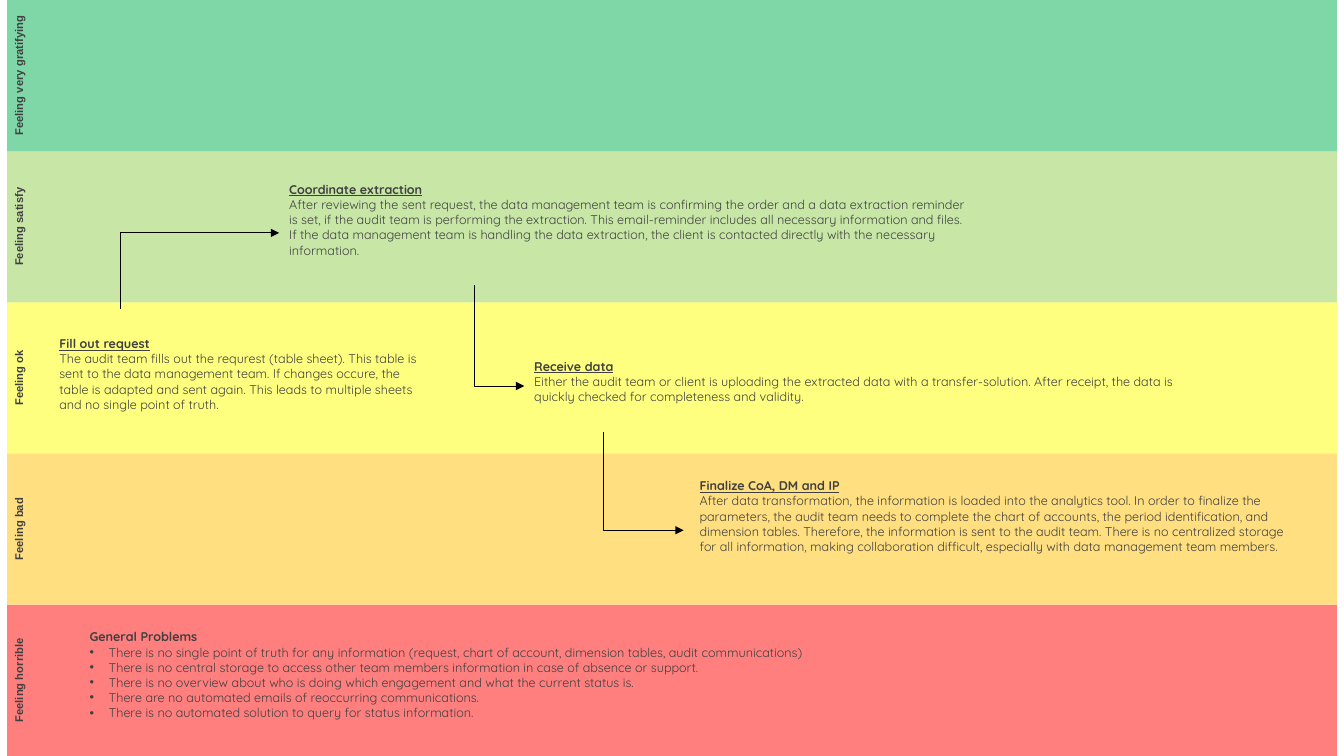
from lxml import etree
from pptx import Presentation
from pptx.dml.color import RGBColor
from pptx.enum.shapes import MSO_CONNECTOR, MSO_SHAPE
from pptx.enum.text import PP_ALIGN
from pptx.oxml.ns import qn
from pptx.util import Inches, Pt

RECT = MSO_SHAPE.RECTANGLE
ELBOW = MSO_CONNECTOR.ELBOW
LEFT, CENTER = PP_ALIGN.LEFT, PP_ALIGN.CENTER

# Content: mood bands from top to bottom
BANDS = [
    ("Feeling very gratifying", "00B050"),
    ("Feeling satisfy", "92D050"),
    ("Feeling ok", "FFFF00"),
    ("Feeling bad", "FFC000"),
    ("Feeling horrible", "FF0000"),
]

# Steps: left in inches, top in band heights, width in inches, title, body
STEPS = [
    (0.49, 2.19, 3.8, "Fill out request",
     "The audit team fills out the requrest (table sheet). This table is sent to "
     "the data management team. If changes occure, the table is adapted and sent "
     "again. This leads to multiple sheets and no single point of truth."),
    (2.77, 1.17, 6.9, "Coordinate extraction",
     "After reviewing the sent request, the data management team is confirming the "
     "order and a data extraction reminder is set, if the audit team is performing "
     "the extraction. This email-reminder includes all necessary information and "
     "files. If the data management team is handling the data extraction, the client "
     "is contacted directly with the necessary information."),
    (5.2, 2.34, 6.88, "Receive data",
     "Either the audit team or client is uploading the extracted data with a "
     "transfer-solution. After receipt, the data is quickly checked for completeness "
     "and validity."),
    (6.84, 3.13, 6.03, "Finalize CoA, DM and IP",
     "After data transformation, the information is loaded into the analytics tool. "
     "In order to finalize the parameters, the audit team needs to complete the chart "
     "of accounts, the period identification, and dimension tables. Therefore, the "
     "information is sent to the audit team. There is no centralized storage for all "
     "information, making collaboration difficult, especially with data management "
     "team members."),
]

ISSUES = (0.79, 4.13, 9.73, "General Problems", [
    "There is no single point of truth for any information (request, chart of account, "
    "dimension tables, audit communications)",
    "There is no central storage to access other team members information in case of "
    "absence or support.",
    "There is no overview about who is doing which engagement and what the current "
    "status is.",
    "There are no automated emails of reoccurring communications.",
    "There is no automated solution to query for status information.",
])

# Arrows: start and end in inches, each runs vertically first
ARROWS = [
    ((1.2, 3.07), (2.77, 2.31)),
    ((4.71, 2.83), (5.2, 3.83)),
    ((5.99, 4.29), (6.78, 5.26)),
]

THEME = {
    "ink": "404040", "line": "000000", "alpha": 50,
    "label": ("Arial", 8), "body": ("Quicksand", 9),
}

# Grid
WIDE, HIGH = 13.33, 7.5
ROW = HIGH / len(BANDS)
EDGE, SPAN, TAB = 0.07, 13.19, 0.39
INDENT = 0.19

deck = Presentation()
deck.slide_width, deck.slide_height = Inches(WIDE), Inches(HIGH)
slide = deck.slides.add_slide(deck.slide_layouts[6])
shapes = slide.shapes


def add_bullet(para):
    props = para._p.get_or_add_pPr()
    props.set("marL", str(Inches(INDENT)))
    props.set("indent", str(-Inches(INDENT)))
    etree.SubElement(props, qn("a:buFont")).set("typeface", "Arial")
    etree.SubElement(props, qn("a:buChar")).set("char", "•")


def add_text(lines, x, y, w, h, font="body", align=LEFT, line=False,
             bullet=False, turn=False):
    """Write a bold first line, then plain lines, in one box."""
    frame = shapes.add_textbox(Inches(x), Inches(y), Inches(w), Inches(h)).text_frame
    frame.word_wrap = True
    if turn:
        frame._txBody.bodyPr.set("vert", "vert270")
    name, size = THEME[font]
    for i, text in enumerate(lines):
        para = frame.paragraphs[0] if i == 0 else frame.add_paragraph()
        para.alignment = align
        if bullet and i:
            add_bullet(para)
        run = para.add_run()
        run.text = text
        face = run.font
        face.name, face.size = name, Pt(size)
        face.color.rgb = RGBColor.from_string(THEME["ink"])
        face.bold = i == 0
        face.underline = line and i == 0


def add_band(y, color):
    band = shapes.add_shape(RECT, Inches(EDGE), Inches(y), Inches(SPAN), Inches(ROW))
    band.shadow.inherit = False
    band.line.fill.background()
    band.fill.solid()
    band.fill.fore_color.rgb = RGBColor.from_string(color)
    tint = band._element.spPr.find(".//" + qn("a:srgbClr"))
    etree.SubElement(tint, qn("a:alpha")).set("val", str(THEME["alpha"] * 1000))


def add_arrow(start, end):
    (x1, y1), (x2, y2) = start, end
    mid_x, mid_y = (x1 + x2) / 2, (y1 + y2) / 2
    # The frame is turned by 270 degrees, so its sides trade places
    half_w, half_h = abs(y2 - y1) / 2, (x2 - x1) / 2
    arrow = shapes.add_connector(
        ELBOW, Inches(mid_x - half_w), Inches(mid_y - half_h),
        Inches(mid_x + half_w), Inches(mid_y + half_h))
    arrow.line.width = Pt(0.75)
    arrow.line.color.rgb = RGBColor.from_string(THEME["line"])
    props = arrow._element.spPr
    props.find(qn("a:prstGeom")).set("prst", "bentConnector2")
    frame = props.find(qn("a:xfrm"))
    frame.set("rot", str(270 * 60000))
    if y2 > y1:
        frame.set("flipH", "1")
    etree.SubElement(props.find(qn("a:ln")), qn("a:tailEnd")).set("type", "triangle")
    etree.SubElement(props, qn("a:effectLst"))


# Bands and their labels
for i, (label, color) in enumerate(BANDS):
    add_band(i * ROW, color)
    add_text([label], EDGE, i * ROW, TAB, ROW, font="label", align=CENTER, turn=True)

# Journey steps
for x, row, w, title, body in STEPS:
    add_text([title, body], x, row * ROW, w, 0.9, line=True)

# Arrows between steps
for start, end in ARROWS:
    add_arrow(start, end)

# General problems
x, row, w, title, items = ISSUES
add_text([title, *items], x, row * ROW, w, 1.16, bullet=True)

deck.save("out.pptx")
